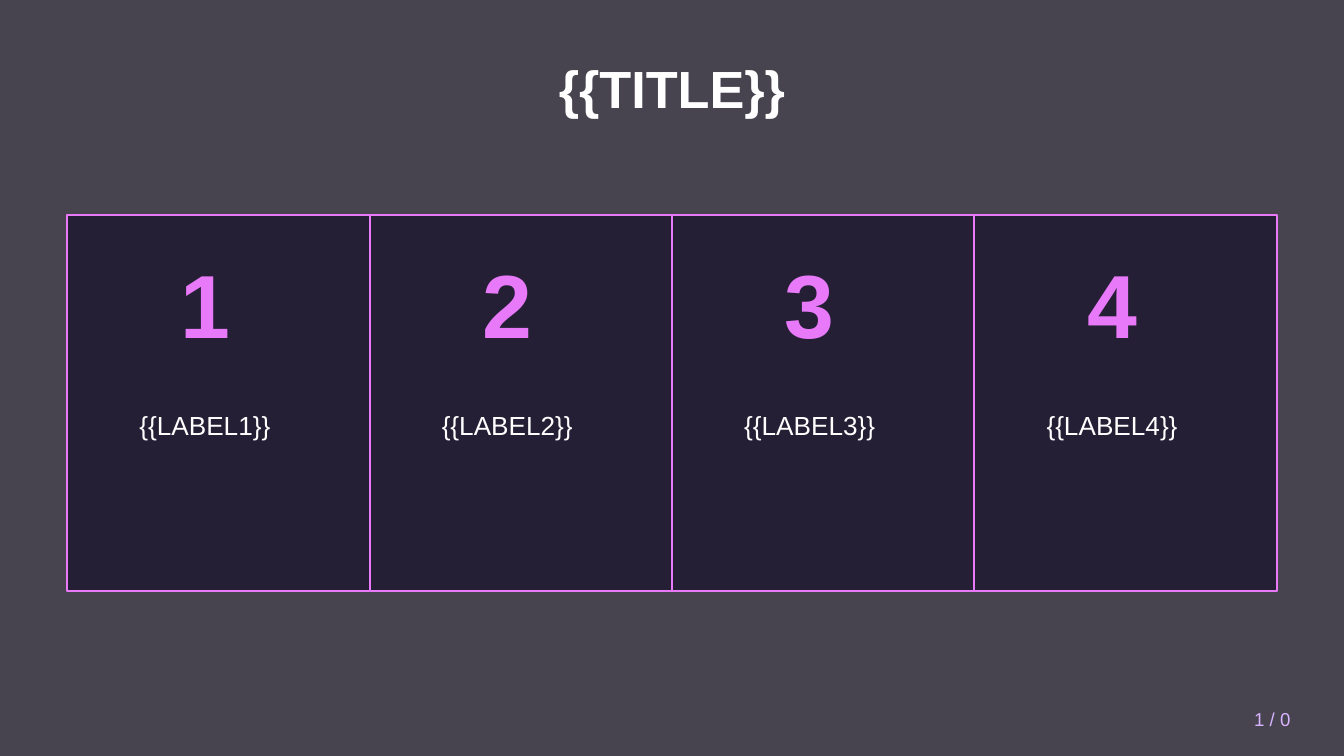
"""Build a title slide section with four numbered, labelled cards in a row."""
from lxml import etree
from pptx import Presentation
from pptx import util as u
from pptx.dml import color
from pptx.enum import shapes, text
from pptx.oxml import ns

ACCENT, WHITE = "E879F9", "FFFFFF"


def paint(target, hex_color):
    target.solid()
    target.fore_color.rgb = color.RGBColor.from_string(hex_color)


def write(shape, box, words, size, hex_color, bold=False,
          align=text.PP_ALIGN.CENTER, anchor=text.MSO_ANCHOR.MIDDLE):
    shape.left, shape.top, shape.width, shape.height = [u.Inches(length) for length in box]
    frame = shape.text_frame
    frame.word_wrap = True
    frame.auto_size = text.MSO_AUTO_SIZE.NONE
    frame.vertical_anchor = anchor
    paragraph = frame.paragraphs[0]
    paragraph.alignment = align
    run = paragraph.add_run()
    run.text = words
    run.font.name = "Arial"
    run.font.size = u.Pt(size)
    run.font.bold = bold
    paint(run.font.fill, hex_color)


presentation = Presentation()
presentation.slide_width = u.Inches(10)
presentation.slide_height = u.Inches(10 * 9 / 16)
slide = presentation.slides.add_slide(presentation.slide_layouts[5])
paint(slide.background.fill, WHITE)

title = slide.shapes.title
write(title, (0.5, 0.3, 9, 0.7), "{{TITLE}}", 28, WHITE, bold=True)

overlay = slide.shapes.add_shape(
    shapes.MSO_SHAPE.RECTANGLE, 0, 0, presentation.slide_width, presentation.slide_height)
overlay.shadow.inherit = False
overlay.line.fill.background()
paint(overlay.fill, "1A1625")
overlay_color = overlay._element.spPr.find(ns.qn("a:solidFill"))[0]
etree.SubElement(overlay_color, ns.qn("a:alpha"), val="80000")
title._element.addprevious(overlay._element)

card_width = 2.25
text_width = card_width - 0.2
for index in range(4):
    left = 0.5 + index * card_width
    number = index + 1
    card = slide.shapes.add_shape(
        shapes.MSO_SHAPE.RECTANGLE,
        u.Inches(left), u.Inches(1.6), u.Inches(card_width), u.Inches(2.8))
    card.shadow.inherit = False
    paint(card.fill, "251F35")
    paint(card.line.fill, ACCENT)
    card.line.width = u.Pt(1)
    write(slide.shapes.add_textbox(0, 0, 0, 0), (left, 1.5, text_width, 1.5),
          str(number), 48, ACCENT, bold=True)
    write(slide.shapes.add_textbox(0, 0, 0, 0), (left, 3, text_width, 1),
          f"{{{{LABEL{number}}}}}", 14, WHITE, anchor=text.MSO_ANCHOR.TOP)

write(slide.shapes.add_textbox(0, 0, 0, 0), (8.5, 5.2, 1.2, 0.3),
      "1 / 0", 10, "D8B4FE", align=text.PP_ALIGN.RIGHT)

presentation.save("out.pptx")
